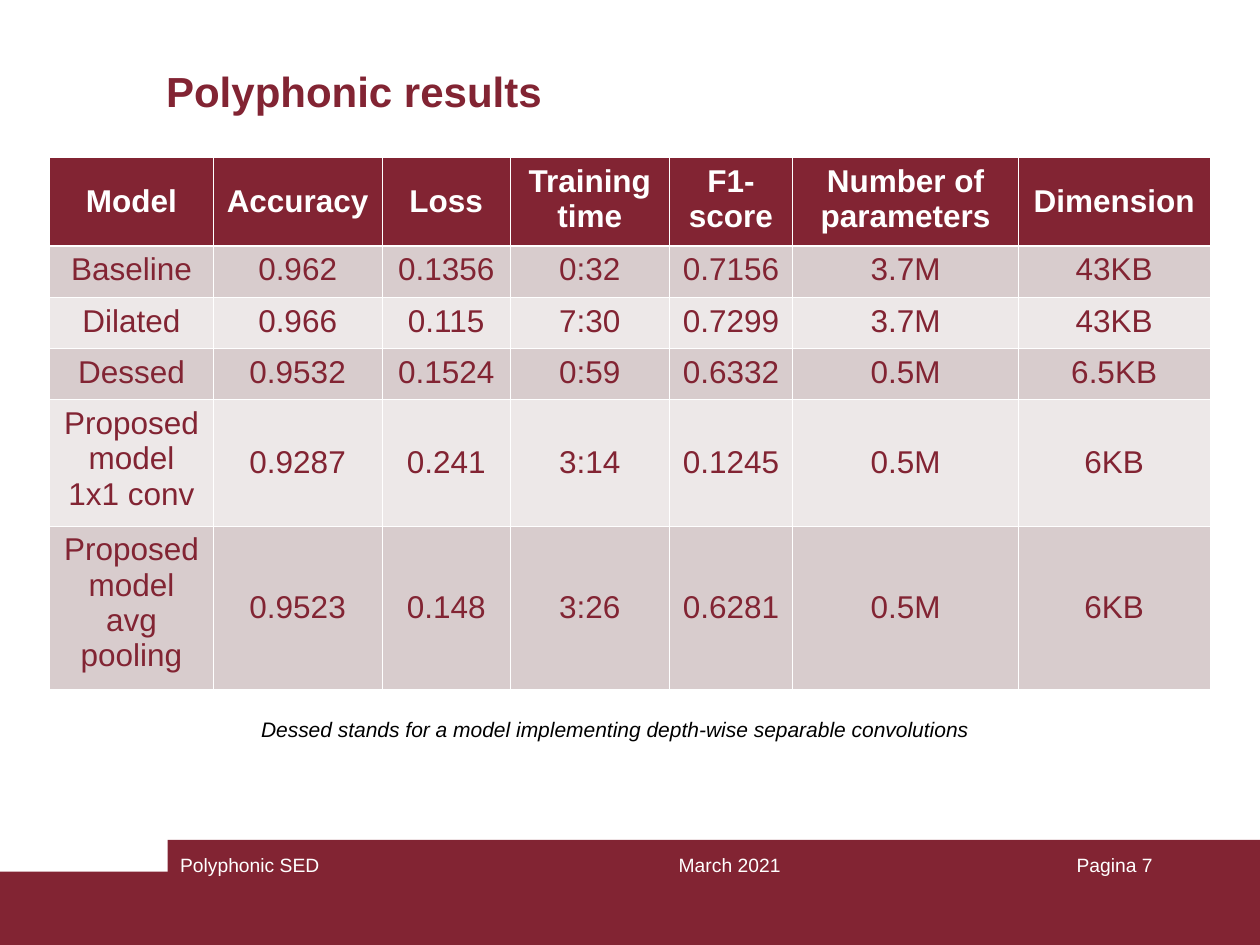
from lxml.etree import SubElement
from pptx import Presentation
from pptx.dml.color import RGBColor
from pptx.enum.shapes import MSO_SHAPE
from pptx.enum.text import MSO_ANCHOR as Anchor, PP_ALIGN as Align
from pptx.oxml.ns import qn
from pptx.util import Cm, Pt

BURGUNDY = RGBColor(0x82, 0x24, 0x33)
DARK_BAND = RGBColor(0xD8, 0xCC, 0xCD)
LIGHT_BAND = RGBColor(0xED, 0xE8, 0xE8)
WHITE = RGBColor(0xFF, 0xFF, 0xFF)
BLACK = RGBColor(0, 0, 0)

THIN, THICK = Pt(0.45), Pt(1.47)
COLUMN_WIDTHS = [3.3, 3.4, 2.59, 3.2, 2.49, 4.55, 3.86]
ROW_HEIGHTS = [1.78, 1.04, 1.02, 1.04, 2.54, 3.3]
RESULTS = [
    ["Model", "Accuracy", "Loss", "Training time", "F1-score",
     "Number of parameters", "Dimension"],
    ["Baseline", "0.962", "0.1356", "0:32", "0.7156", "3.7M", "43KB"],
    ["Dilated", "0.966", "0.115", "7:30", "0.7299", "3.7M", "43KB"],
    ["Dessed", "0.9532", "0.1524", "0:59", "0.6332", "0.5M", "6.5KB"],
    ["Proposed model 1x1 conv", "0.9287", "0.241", "3:14", "0.1245", "0.5M", "6KB"],
    ["Proposed model avg pooling", "0.9523", "0.148", "3:26", "0.6281", "0.5M", "6KB"],
]
FOOTERS = [
    (3.38, 8.05, "Polyphonic SED", Align.LEFT),
    (12.07, 5.28, "March 2021", Align.CENTER),
    (18.21, 5.28, "Pagina 7", Align.RIGHT),
]


def write_text(frame, text, size, color, align=Align.LEFT, bold=False, italic=False):
    paragraph = frame.paragraphs[0]
    paragraph.alignment = align
    run = paragraph.add_run()
    run.text = text
    font = run.font
    font.name, font.size = "Arial", Pt(size)
    font.bold, font.italic = bold, italic
    font.color.rgb = color


def add_text(slide, left, top, width, height, text, anchor=Anchor.TOP, **text_format):
    box = slide.shapes.add_textbox(Cm(left), Cm(top), Cm(width), Cm(height))
    frame = box.text_frame
    frame.word_wrap = True
    frame.vertical_anchor = anchor
    write_text(frame, text, **text_format)


def add_bar(slide, left, top, width, height):
    bar = slide.shapes.add_shape(
        MSO_SHAPE.RECTANGLE, Cm(left), Cm(top), Cm(width), Cm(height))
    bar.shadow.inherit = False
    bar.fill.solid()
    bar.fill.fore_color.rgb = BURGUNDY
    bar.line.fill.background()


def set_borders(cell, top, bottom):
    """Draw white cell borders; call before setting the cell's fill."""
    properties = cell._tc.get_or_add_tcPr()
    for side, width in (("lnL", THIN), ("lnR", THIN), ("lnT", top), ("lnB", bottom)):
        line = SubElement(properties, qn(f"a:{side}"), w=str(int(width)))
        fill = SubElement(line, qn("a:solidFill"))
        SubElement(fill, qn("a:srgbClr"), val=str(WHITE))


def format_cell(cell, text, row):
    is_header = row == 0
    is_tall = row in (0, 4, 5)
    is_wrapped = " " in text or "-" in text
    cell.vertical_anchor = Anchor.MIDDLE if is_tall and not is_wrapped else Anchor.TOP
    write_text(cell.text_frame, text, size=18, align=Align.CENTER, bold=is_header,
               color=WHITE if is_header else BURGUNDY)
    set_borders(cell, top=THICK if row == 1 else THIN,
                bottom=THICK if is_header else THIN)
    cell.fill.solid()
    band = DARK_BAND if row % 2 else LIGHT_BAND
    cell.fill.fore_color.rgb = BURGUNDY if is_header else band


def add_results_table(slide, left, top):
    table = slide.shapes.add_table(
        len(ROW_HEIGHTS), len(COLUMN_WIDTHS), Cm(left), Cm(top),
        Cm(sum(COLUMN_WIDTHS)), Cm(sum(ROW_HEIGHTS))).table
    for column, width in zip(table.columns, COLUMN_WIDTHS):
        column.width = Cm(width)
    for row, height in zip(table.rows, ROW_HEIGHTS):
        row.height = Cm(height)
    for row_index, values in enumerate(RESULTS):
        for column_index, text in enumerate(values):
            format_cell(table.cell(row_index, column_index), text, row_index)


def main():
    presentation = Presentation()
    presentation.slide_width, presentation.slide_height = Cm(25.4), Cm(19.05)
    slide = presentation.slides.add_slide(presentation.slide_layouts[6])

    add_bar(slide, 0, 17.57, 25.4, 1.48)
    add_bar(slide, 3.38, 16.93, 22.02, 2.12)
    for left, width, text, align in FOOTERS:
        add_text(slide, left, 17.07, width, 1.27, text, size=11, color=WHITE, align=align)

    add_text(slide, 3.1, 1.12, 20.6, 1.42, "Polyphonic results",
             anchor=Anchor.MIDDLE, size=24, color=BURGUNDY, bold=True)
    add_results_table(slide, 1, 3.18)
    add_text(slide, 1.7, 14.33, 21.41, 0.76,
             "Dessed stands for a model implementing depth-wise separable convolutions",
             size=12, color=BLACK, align=Align.CENTER, italic=True)

    presentation.save("out.pptx")


if __name__ == "__main__":
    main()
